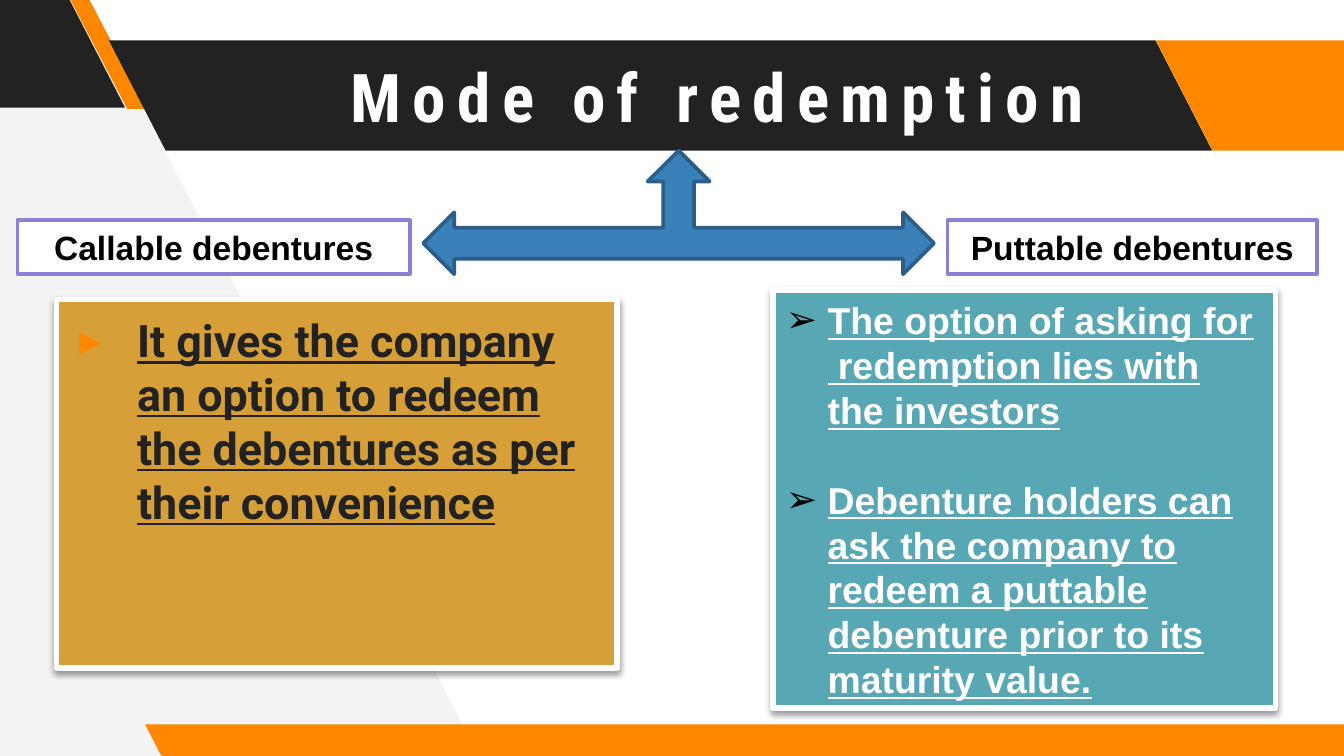
from lxml.etree import SubElement
from pptx import Presentation
from pptx.dml.color import RGBColor
from pptx.enum.shapes import MSO_SHAPE
from pptx.enum.text import MSO_ANCHOR, MSO_AUTO_SIZE, PP_ALIGN
from pptx.oxml.ns import qn
from pptx.util import Inches, Pt

COLORS = {
    "white": "FFFFFF", "black": "000000", "dark": "222222", "pale": "F3F3F3",
    "orange": "FF8700", "blue": "3A81BA", "navy": "2B5F8A",
    "violet": "8B81D2", "gold": "D79F37", "teal": "57A7B5",
}


def color(name):
    return RGBColor.from_string(COLORS[name])


def place(shape, box):
    shape.left, shape.top, shape.width, shape.height = map(Inches, box)


def paint(shape, fill, line=None, width=0):
    shape.fill.solid()
    shape.fill.fore_color.rgb = color(fill)
    if line:
        shape.line.color.rgb = color(line)
        shape.line.width = Pt(width)
    else:
        shape.line.fill.background()


def add_box(slide, kind, box, fill, line=None, width=0):
    shape = slide.shapes.add_shape(kind, *map(Inches, box))
    shape.shadow.inherit = False
    paint(shape, fill, line, width)
    return shape


def bring_to_front(slide, shape):
    slide.shapes.element.append(shape.element)


def set_margins(frame, margin):
    frame.margin_left = frame.margin_right = Inches(margin)
    frame.margin_top = frame.margin_bottom = Inches(margin)


def style(paragraph, font_name, size, font_color, underline=False):
    font = paragraph.font
    font.name, font.size, font.bold = font_name, Pt(size), True
    font.underline = underline
    font.color.rgb = color(font_color)


def add_bullet(paragraph, character, bullet_color, margin, hanging):
    properties = paragraph._p.get_or_add_pPr()
    properties.set("marL", str(Inches(margin)))
    properties.set("indent", str(-Inches(hanging)))
    # Bullet elements precede the default run properties
    run_defaults = properties.find(qn("a:defRPr"))
    bullet = SubElement(properties, qn("a:buClr"))
    SubElement(bullet, qn("a:srgbClr"), val=COLORS[bullet_color])
    SubElement(properties, qn("a:buFont"), typeface="Arial")
    SubElement(properties, qn("a:buChar"), char=character)
    if run_defaults is not None:
        properties.append(run_defaults)


def add_shadow(shape):
    shape.shadow.inherit = False
    effects = shape.element.spPr.find(qn("a:effectLst"))
    shadow = SubElement(effects, qn("a:outerShdw"), blurRad=str(Pt(3.1)),
                        dist=str(Pt(1.6)), dir="5400000", rotWithShape="0")
    shade = SubElement(shadow, qn("a:srgbClr"), val=COLORS["black"])
    SubElement(shade, qn("a:alpha"), val="38000")


def add_backdrop(slide):
    # Pale slanted area on the left
    builder = slide.shapes.build_freeform(Inches(3.56), Inches(5.62))
    corners = [(0.62, -0.04), (-0.06, -0.04), (-0.02, 5.66)]
    builder.add_line_segments([(Inches(x), Inches(y)) for x, y in corners])
    area = builder.convert_to_shape()
    area.shadow.inherit = False
    paint(area, "pale")

    # Slanted bands
    bands = [
        ((-0.99, -0.02, 1.92, 0.82), 0.515, "dark"),
        ((0.52, -0.01, 0.57, 0.82), 0.75, "orange"),
        ((0.81, 0.3, 8.21, 0.82), 0.515, "dark"),
        ((8.6, 0.3, 1.92, 0.82), 0.515, "orange"),
        ((1.08, 5.39, 9.15, 0.25), 0.515, "orange"),
    ]
    for box, slant, fill in bands:
        band = add_box(slide, MSO_SHAPE.PARALLELOGRAM, box, fill)
        band.adjustments[0] = slant
        band.element.spPr.get_or_add_xfrm().set("flipH", "1")


def fill_title(slide, box, text):
    title = slide.shapes.title
    place(title, box)
    bring_to_front(slide, title)
    frame = title.text_frame
    frame.text = text
    frame.auto_size = MSO_AUTO_SIZE.NONE
    frame.vertical_anchor = MSO_ANCHOR.MIDDLE
    set_margins(frame, 0.1)
    paragraph = frame.paragraphs[0]
    paragraph.alignment = PP_ALIGN.CENTER
    style(paragraph, "Roboto Condensed", 36, "white")
    paragraph.runs[0].font._element.set("spc", "600")


def add_label(slide, box, text):
    label = add_box(slide, MSO_SHAPE.RECTANGLE, box, "white", "violet", 2)
    frame = label.text_frame
    frame.text = text
    frame.word_wrap = True
    paragraph = frame.paragraphs[0]
    paragraph.alignment = PP_ALIGN.CENTER
    style(paragraph, "Arial", 18, "black")


def fill_callable_panel(slide, box, text):
    body = slide.placeholders[1]
    place(body, box)
    bring_to_front(slide, body)
    paint(body, "gold", "white", 3)
    add_shadow(body)
    frame = body.text_frame
    frame.text = text
    frame.auto_size = MSO_AUTO_SIZE.NONE
    frame.vertical_anchor = MSO_ANCHOR.TOP
    set_margins(frame, 0.1)
    paragraph = frame.paragraphs[0]
    paragraph.space_before = Pt(6)
    style(paragraph, "Roboto", 24, "dark", underline=True)
    add_bullet(paragraph, "▸", "orange", 0.5, 0.43)


def add_puttable_panel(slide, box, points):
    panel = add_box(slide, MSO_SHAPE.RECTANGLE, box, "teal", "white", 3)
    add_shadow(panel)
    frame = panel.text_frame
    frame.word_wrap = True
    frame.text = "\n".join(points)
    for index, paragraph in enumerate(frame.paragraphs):
        paragraph.alignment = PP_ALIGN.LEFT
        paragraph.line_spacing = Pt(24)
        paragraph.space_before = Pt(24 if index else 0)
        style(paragraph, "Arial", 20, "white", underline=True)
        add_bullet(paragraph, "➢", "black", 0.31, 0.31)


def main():
    presentation = Presentation()
    # Widescreen, 16 to 9
    presentation.slide_width = Inches(10)
    presentation.slide_height = presentation.slide_width * 9 // 16
    slide = presentation.slides.add_slide(presentation.slide_layouts[1])

    add_backdrop(slide)
    fill_title(slide, (1.2, 0.3, 8.28, 0.82), "Mode of redemption")

    # Arrow that joins the title to both kinds of debenture
    add_box(slide, MSO_SHAPE.LEFT_RIGHT_UP_ARROW, (3.15, 1.12, 3.8, 0.92),
            "blue", "navy", 2)

    # Callable side
    add_label(slide, (0.13, 1.64, 2.92, 0.4), "Callable debentures")
    fill_callable_panel(
        slide, (0.42, 2.23, 4.17, 2.74),
        "It gives the company an option to redeem the debentures "
        "as per their convenience")

    # Puttable side
    add_label(slide, (7.05, 1.64, 2.75, 0.4), "Puttable debentures")
    add_puttable_panel(slide, (5.75, 2.16, 3.74, 3.11), [
        "The option of asking for  redemption lies with the investors",
        "Debenture holders can ask the company to redeem a puttable "
        "debenture prior to its maturity value.",
    ])

    presentation.save("out.pptx")


if __name__ == "__main__":
    main()
